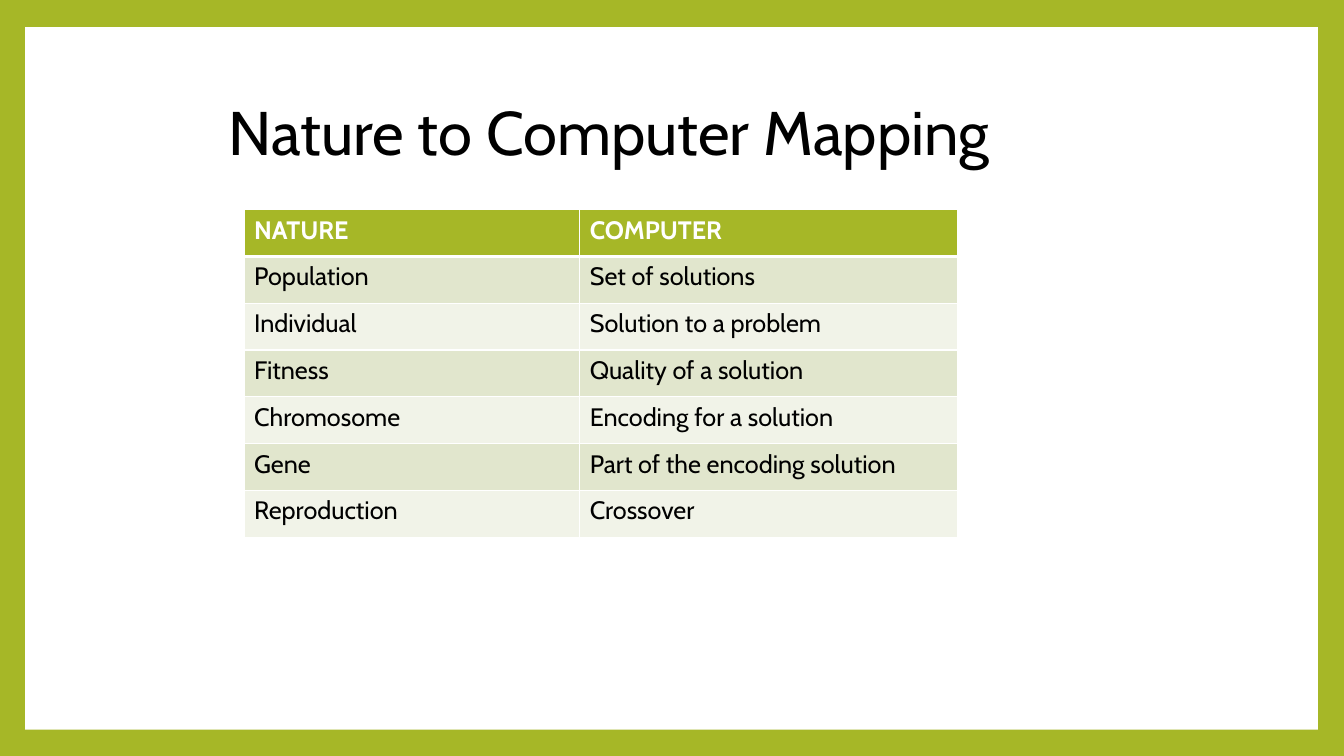
import pptx
import pptx.dml.color
import pptx.enum.shapes
import pptx.enum.text
import pptx.oxml
import pptx.oxml.ns
import pptx.util

Inches, Pt = pptx.util.Inches, pptx.util.Pt

COLORS = {
    "green": "A6B727",
    "white": "FFFFFF",
    "black": "000000",
    "band_dark": "E1E6CD",
    "band_light": "F1F3E8",
}

MAPPING = [
    ("NATURE", "COMPUTER"),
    ("Population", "Set of solutions"),
    ("Individual", "Solution to a problem"),
    ("Fitness", "Quality of a solution"),
    ("Chromosome", "Encoding for a solution"),
    ("Gene", "Part of the encoding solution"),
    ("Reproduction", "Crossover"),
]


class SlideBuilder:
    def __init__(self, prs, font):
        self.s = prs.slides.add_slide(prs.slide_layouts[6])
        self.font = font

    def paint(self, fill, color):
        fill.solid()
        fill.fore_color.rgb = self.rgb(color)

    def rgb(self, color):
        return pptx.dml.color.RGBColor.from_string(COLORS[color])

    def add_text(self, tf, text, size, color, bold=False):
        p = tf.paragraphs[0]
        r = p.add_run()
        r.text = text
        style = {"name": self.font, "size": Pt(size), "bold": bold}
        for name, value in style.items():
            setattr(r.font, name, value)
        r.font.color.rgb = self.rgb(color)
        return p

    def background(self, color):
        self.paint(self.s.background.fill, color)

    def panel(self, box, color):
        sp = self.s.shapes.add_shape(
            pptx.enum.shapes.MSO_SHAPE.RECTANGLE, *map(Inches, box))
        sp.shadow.inherit = False
        self.paint(sp.fill, color)
        sp.line.fill.background()

    def title(self, box, text, size, color):
        tf = self.s.shapes.add_textbox(*map(Inches, box)).text_frame
        tf.word_wrap = True
        tf.vertical_anchor = pptx.enum.text.MSO_ANCHOR.MIDDLE
        self.add_text(tf, text, size, color).line_spacing = 0.9

    def border(self, cell, side, color, width):
        ns = pptx.oxml.ns.nsdecls("a")
        cell._tc.get_or_add_tcPr().append(pptx.oxml.parse_xml(
            f'<a:ln{side} {ns} w="{Pt(width)}"><a:solidFill>'
            f'<a:srgbClr val="{COLORS[color]}"/></a:solidFill></a:ln{side}>'))

    def table(self, box, rows, widths, size):
        table = self.s.shapes.add_table(
            len(rows), len(widths), *map(Inches, box)).table
        for column, width in zip(table.columns, widths):
            column.width = Inches(width)
        # The rule between header and body is thicker
        thick = {(0, "B"): 3, (1, "T"): 3}
        for i, row in enumerate(rows):
            header = i == 0
            band = "green" if header else "band_dark" if i % 2 else "band_light"
            for j, text in enumerate(row):
                cell = table.cell(i, j)
                for side in "LRTB":
                    self.border(cell, side, "white", thick.get((i, side), 1))
                self.paint(cell.fill, band)
                self.add_text(cell.text_frame, text, size,
                              "white" if header else "black", header)


def main():
    prs = pptx.Presentation()
    prs.slide_width, prs.slide_height = Inches(13.33), Inches(7.5)
    slide = SlideBuilder(prs, "Cabin")

    # Green frame around a white panel
    slide.background("green")
    slide.panel((0.25, 0.27, 12.82, 6.97), "white")

    # Title
    slide.title((2.17, 0.72, 8.17, 1.25), "Nature to Computer Mapping", 44, "black")

    # Mapping table
    slide.table((2.42, 2.08, 7.08, 3.25), MAPPING, (3.33, 3.75), 18)

    prs.save("out.pptx")


if __name__ == "__main__":
    main()
